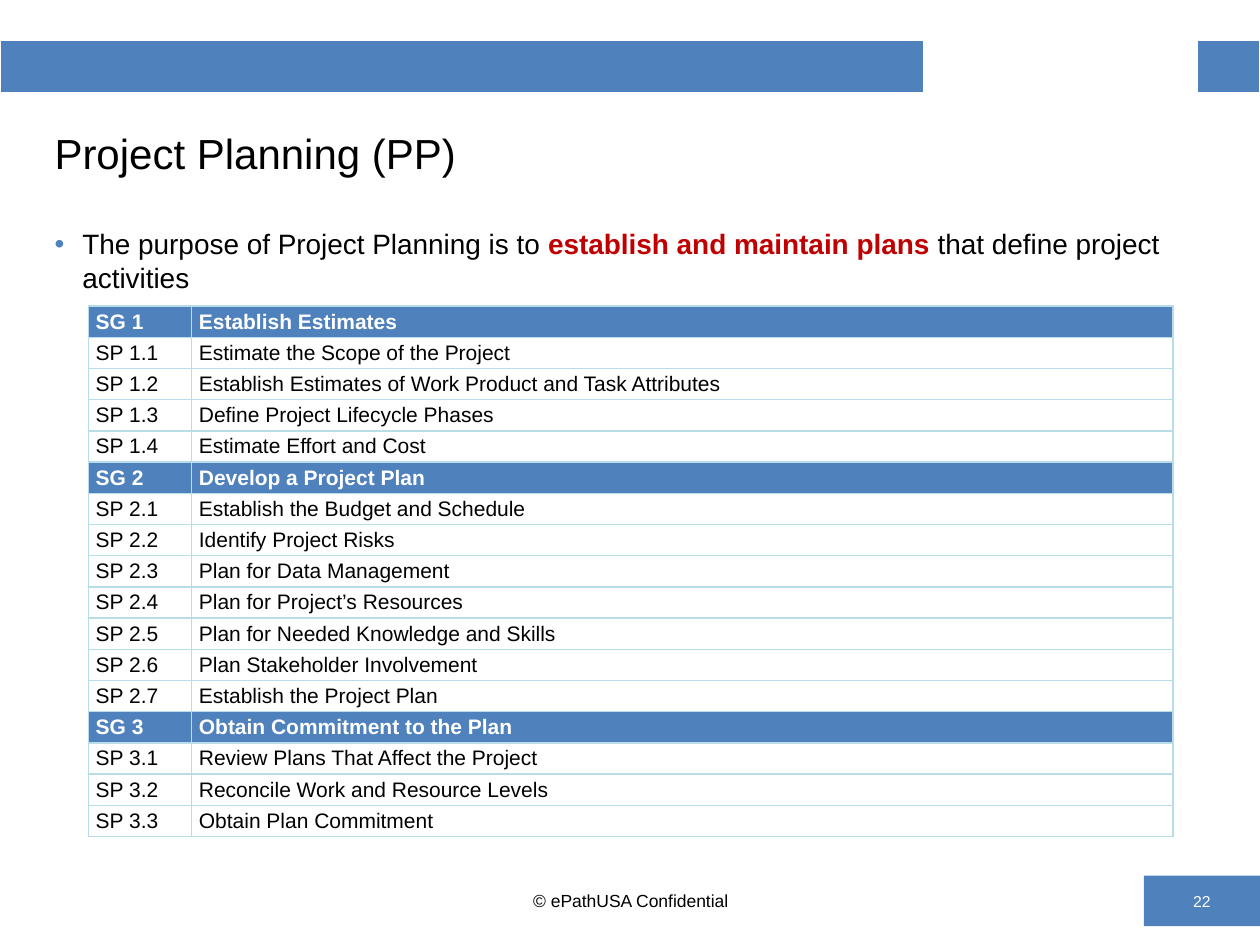
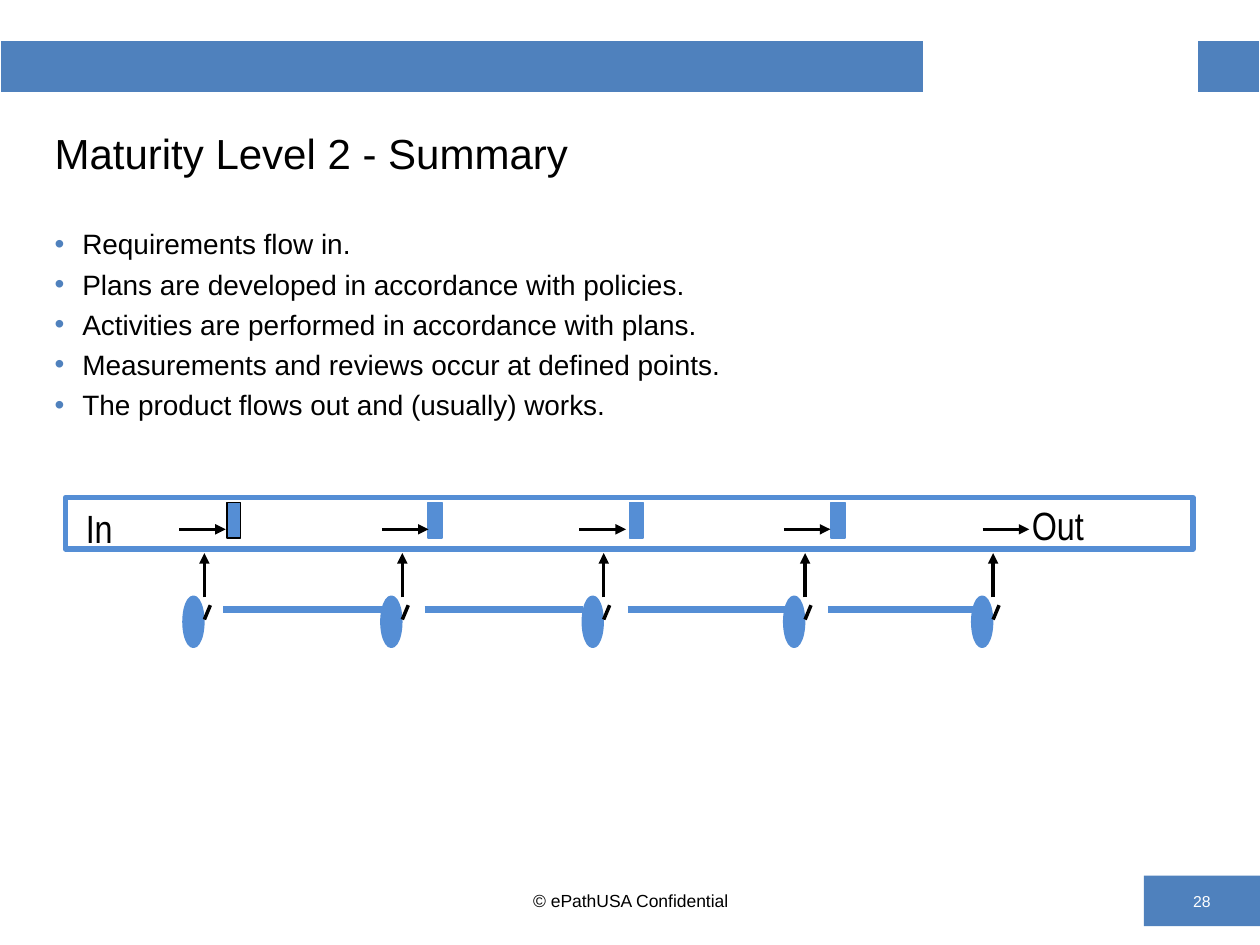
import pptx
import pptx.dml.color
import pptx.enum.shapes
import pptx.enum.text
import pptx.oxml
import pptx.oxml.ns
import pptx.util
from lxml import etree

Cm = pptx.util.Cm
Pt = pptx.util.Pt
RGBColor = pptx.dml.color.RGBColor
SHAPES = pptx.enum.shapes.MSO_SHAPE
ALIGN = pptx.enum.text.PP_ALIGN
ANCHOR = pptx.enum.text.MSO_ANCHOR
qn = pptx.oxml.ns.qn

BLUE = RGBColor(0x4F, 0x81, 0xBD)
FLOW_BLUE = RGBColor(0x55, 0x8E, 0xD5)
PALE_BLUE = RGBColor(0xB7, 0xDE, 0xE8)
RED = RGBColor(0xC0, 0x00, 0x00)
BLACK = RGBColor(0, 0, 0)
WHITE = RGBColor(0xFF, 0xFF, 0xFF)

# Boxes in cm: left, top, width, height
BAND_BOX = (0, 0.81, 25.4, 1.09)
TITLE_BOX = (0.85, 2.16, 23.7, 1.85)
BODY_BOX = (0.85, 4.45, 23.7, 12.93)
GOALS_BOX = (1.78, 6.17, 21.87, 10.54)
FLOW_BOX = (1.32, 10.03, 22.73, 1.04)
FOOTER_BOX = (8.69, 17.65, 8.05, 1.02)
NUMBER_BOX = (23.06, 17.65, 2.34, 1.02)

GOALS = [
    ("Establish Estimates", [
        "Estimate the Scope of the Project",
        "Establish Estimates of Work Product and Task Attributes",
        "Define Project Lifecycle Phases",
        "Estimate Effort and Cost"]),
    ("Develop a Project Plan", [
        "Establish the Budget and Schedule",
        "Identify Project Risks",
        "Plan for Data Management",
        "Plan for Project’s Resources",
        "Plan for Needed Knowledge and Skills",
        "Plan Stakeholder Involvement",
        "Establish the Project Plan"]),
    ("Obtain Commitment to the Plan", [
        "Review Plans That Affect the Project",
        "Reconcile Work and Resource Levels",
        "Obtain Plan Commitment"]),
]
PURPOSE = [[("The purpose of Project Planning is to ", {}),
            ("establish and maintain plans ", {"color": RED, "bold": True}),
            ("that define project activities", {})]]
SUMMARY = [[(line, {})] for line in (
    "Requirements flow in.",
    "Plans are developed in accordance with policies.",
    "Activities are performed in accordance with plans.",
    "Measurements and reviews occur at defined points.",
    "The product flows out and (usually) works.")]


def write(paragraph, text, size, color=BLACK, bold=False, name="Arial"):
    run = paragraph.add_run()
    run.text = text
    for key, value in {"size": Pt(size), "bold": bold, "name": name}.items():
        setattr(run.font, key, value)
    run.font.color.rgb = color


def add_text(slide, box, text, size, **style):
    frame = slide.shapes.add_textbox(*map(Cm, box)).text_frame
    frame.word_wrap = True
    frame.vertical_anchor = ANCHOR.MIDDLE
    write(frame.paragraphs[0], text, size, **style)
    return frame


def add_block(slide, kind, box, fill, line=None, width=1):
    block = slide.shapes.add_shape(kind, *map(Cm, box))
    block.shadow.inherit = False
    block.fill.solid()
    block.fill.fore_color.rgb = fill
    if line is None:
        block.line.fill.background()
    else:
        block.line.color.rgb = line
        block.line.width = Pt(width)
    return block


def add_line(slide, start, end, color=BLACK, width=2, arrow=False):
    line = slide.shapes.add_connector(
        pptx.enum.shapes.MSO_CONNECTOR.STRAIGHT, *map(Cm, start + end))
    line.line.color.rgb = color
    line.line.width = Pt(width)
    if arrow:
        etree.SubElement(line.line._get_or_add_ln(), qn("a:tailEnd"), type="triangle")
    etree.SubElement(line._element.spPr, qn("a:effectLst"))


def add_grid(slide, box, rows, widths):
    grid = slide.shapes.add_table(rows, len(widths), *map(Cm, box)).table
    grid.first_row = grid.horz_banding = False
    for column, width in zip(grid.columns, widths):
        column.width = Cm(width)
    return grid


def style_cell(cell, fill, color, bottom=1):
    """Fill a cell and rule its four sides; the bottom may be heavier."""
    properties = cell._tc.get_or_add_tcPr()
    for side, width in {"L": 1, "R": 1, "T": 1, "B": bottom}.items():
        edge = etree.SubElement(properties, qn("a:ln" + side), w=str(Pt(width)))
        paint = etree.SubElement(edge, qn("a:solidFill"))
        etree.SubElement(paint, qn("a:srgbClr"), val=str(color))
    if fill is None:
        cell.fill.background()
    else:
        cell.fill.solid()
        cell.fill.fore_color.rgb = fill


def add_frame(deck, title, number):
    """Start a slide with its band, title, footer and page number."""
    slide = deck.slides.add_slide(deck.slide_layouts[6])
    band = add_grid(slide, BAND_BOX, 1, (18.62, 5.51, 1.27))
    for cell, fill in zip(band.rows[0].cells, (BLUE, None, BLUE)):
        style_cell(cell, fill, WHITE, bottom=3)

    add_text(slide, TITLE_BOX, title, 24)
    footer = add_text(slide, FOOTER_BOX, "© ePathUSA Confidential", 10)
    footer.paragraphs[0].alignment = ALIGN.CENTER

    page = add_block(slide, SHAPES.RECTANGLE, NUMBER_BOX, BLUE).text_frame
    page.vertical_anchor = ANCHOR.MIDDLE
    page.paragraphs[0].alignment = ALIGN.CENTER
    write(page.paragraphs[0], str(number), 9, WHITE)
    return slide


def add_bullets(slide, box, items):
    frame = slide.shapes.add_textbox(*map(Cm, box)).text_frame
    frame.word_wrap = True
    for index, item in enumerate(items):
        paragraph = frame.paragraphs[0] if index == 0 else frame.add_paragraph()
        properties = paragraph._p.get_or_add_pPr()
        properties.set("marL", str(Cm(0.56)))
        properties.set("indent", str(-Cm(0.56)))
        tint = etree.SubElement(properties, qn("a:buClr"))
        etree.SubElement(tint, qn("a:srgbClr"), val=str(BLUE))
        etree.SubElement(properties, qn("a:buFont"), typeface="Arial")
        etree.SubElement(properties, qn("a:buChar"), char="•")
        if index:
            paragraph.space_before = Pt(3.8)
        for text, style in item:
            write(paragraph, text, 16, **style)


def add_goals(slide, box):
    """Table of specific goals (SG), each followed by its practices (SP)."""
    lines = []
    for goal, (name, practices) in enumerate(GOALS, 1):
        lines.append((f"SG {goal}", name, True))
        lines += [(f"SP {goal}.{step}", practice, False)
                  for step, practice in enumerate(practices, 1)]
    grid = add_grid(slide, box, len(lines), (2.08, box[2] - 2.08))
    margins = {"margin_left": 0.15, "margin_right": 0.15,
               "margin_top": 0.06, "margin_bottom": 0.06}
    for row, (code, name, is_goal) in zip(grid.rows, lines):
        row.height = Cm(box[3] / len(lines))
        for cell, text in zip(row.cells, (code, name)):
            style_cell(cell, BLUE if is_goal else WHITE, PALE_BLUE)
            for margin, value in margins.items():
                setattr(cell, margin, Cm(value))
            cell.vertical_anchor = ANCHOR.MIDDLE
            write(cell.text_frame.paragraphs[0], text, 12,
                  WHITE if is_goal else BLACK, is_goal)


def add_flow(slide, box):
    """Pipe from In to Out, with gates inside and review stations below."""
    left, top = box[:2]

    def at(x, y):
        return left + x, top + y

    add_block(slide, SHAPES.RECTANGLE, box, WHITE, FLOW_BLUE, 3)
    for label, x, y, width in (("In", 0.28, 0.05, 0.89), ("Out", 19.35, 0, 1.5)):
        frame = add_text(slide, at(x, y) + (width, 1.09), label, 22.5,
                         name="Arial Narrow")
        frame.word_wrap = False
        frame.vertical_anchor = ANCHOR.TOP
        for side, margin in {"left": 0.13, "right": 0.13,
                             "top": 0.08, "bottom": 0.08}.items():
            setattr(frame, "margin_" + side, Cm(margin))

    # Gates, the first outlined in black
    for gate in range(4):
        add_block(slide, SHAPES.RECTANGLE, at(3.25 + 4.06 * gate, 0.1) + (0.28, 0.71),
                  FLOW_BLUE, FLOW_BLUE if gate else BLACK)
    for x in (2.29, 6.38, 10.36, 14.48, 18.49):
        add_line(slide, at(x, 0.64), at(x + 0.94, 0.64), arrow=True)

    # Stations, each with a tick and an arrow up to the pipe
    stations = (2.39, 6.38, 10.44, 14.5, 18.29)
    for x in stations:
        stem = x + 0.41
        add_block(slide, SHAPES.OVAL, at(x, 2.01) + (0.38, 0.99),
                  FLOW_BLUE, FLOW_BLUE, 2)
        add_line(slide, at(stem, 2.46), at(stem + 0.12, 2.17))
        add_line(slide, at(stem, 2.01), at(stem, 1.12), arrow=True)
    for start, end in zip((3.18, 7.24, 11.33, 15.37), stations[1:]):
        add_line(slide, at(start, 2.25), at(end, 2.25), FLOW_BLUE, 4)


def main():
    deck = pptx.Presentation()
    deck.slide_width, deck.slide_height = Cm(25.4), Cm(19.05)

    planning = add_frame(deck, "Project Planning (PP)", 22)
    add_bullets(planning, BODY_BOX, PURPOSE)
    add_goals(planning, GOALS_BOX)

    summary = add_frame(deck, "Maturity Level 2 - Summary", 28)
    add_bullets(summary, BODY_BOX, SUMMARY)
    add_flow(summary, FLOW_BOX)

    deck.save("out.pptx")


if __name__ == "__main__":
    main()
